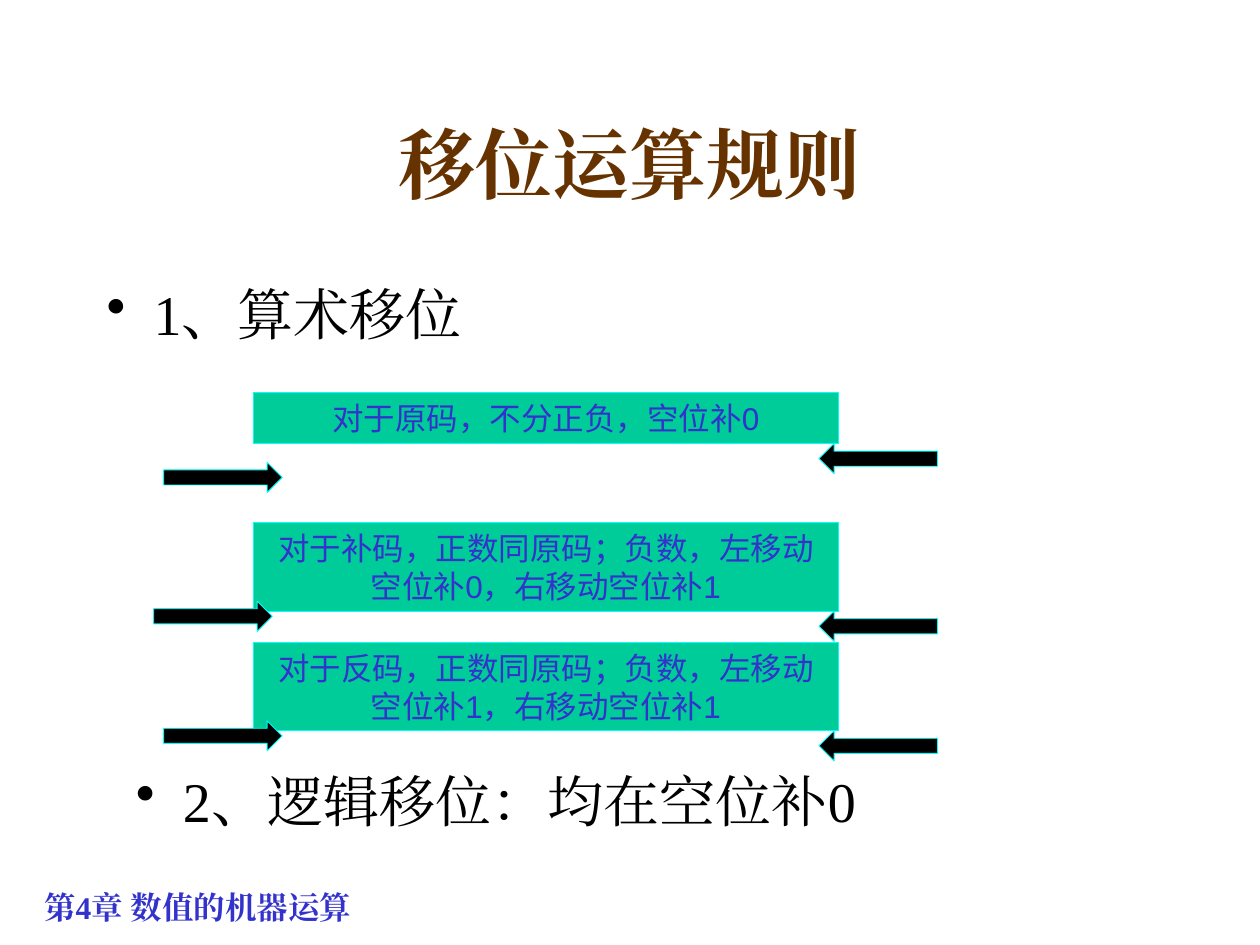
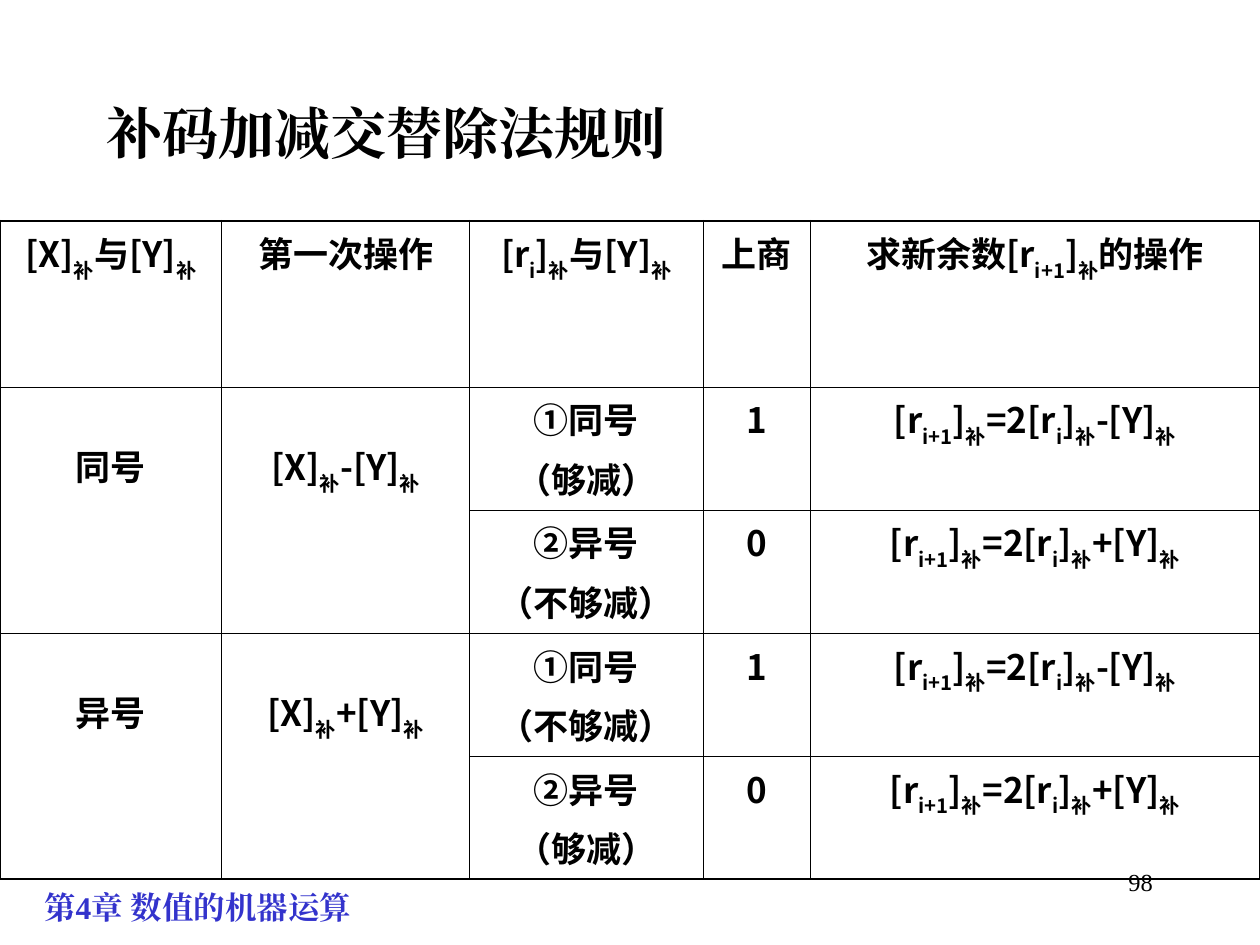
from lxml.etree import SubElement
from pptx import Presentation
from pptx.dml.color import RGBColor
from pptx.enum.shapes import MSO_SHAPE
from pptx.enum.text import MSO_ANCHOR, PP_ALIGN
from pptx.oxml.ns import qn
from pptx.util import Cm, Pt

BLACK, BLUE, BROWN = "000000", "3333CC", "663300"
GREEN, CYAN = "00CC99", "00FFFF"
SERIF, SANS, HAN = "Times New Roman", "Arial", "Noto Sans CJK SC"
LEFT, MID, RIGHT = PP_ALIGN.LEFT, PP_ALIGN.CENTER, PP_ALIGN.RIGHT


def tint(code):
    """Turn a hex string into a colour."""
    return RGBColor.from_string(code)


class Deck:
    """Hold the shared style and the current slide."""

    def __init__(self):
        """Start an empty deck."""
        self.file = Presentation()
        self.file.slide_width, self.file.slide_height = Cm(25.4), Cm(19.05)
        self.slide = None

    def page(self):
        """Add a slide with the chapter footer."""
        self.slide = self.file.slides.add_slide(self.file.slide_layouts[6])
        self.text("第4章 数值的机器运算", 0.64, 17.78, 14.81, 0.64, 18, BLUE, bold=True)

    def runs(self, para, text, size, color=BLACK, font=SERIF, bold=False, align=LEFT):
        """Add runs to a paragraph, with every second part between bars lowered."""
        para.alignment = align
        for i, part in enumerate(text.split("|")):
            if not part:
                continue
            run = para.add_run()
            run.text = part
            run.font.size, run.font.bold, run.font.name = Pt(size), bold, font
            run.font.color.rgb = tint(color)
            props = run._r.get_or_add_rPr()
            SubElement(props, qn("a:ea"), typeface=font)
            if i % 2:
                props.set("baseline", "-30000")

    def text(self, text, x, y, wide, high, size, color=BLACK, bold=False, align=LEFT,
             anchor=MSO_ANCHOR.TOP):
        """Add a text box and return its paragraph."""
        frame = self.slide.shapes.add_textbox(Cm(x), Cm(y), Cm(wide), Cm(high)).text_frame
        frame.word_wrap = True
        frame.vertical_anchor = anchor
        self.runs(frame.paragraphs[0], text, size, color, bold=bold, align=align)
        return frame.paragraphs[0]

    def title(self, text, y, size, color, align):
        """Add the slide heading."""
        self.text(text, 1.9, y, 21.6, 3.18, size, color, True, align, MSO_ANCHOR.MIDDLE)

    def point(self, text, x, y):
        """Add a bulleted line."""
        props = self.text(text, x, y, 21.6, 1.85, 32)._p.get_or_add_pPr()
        props.set("marL", str(Cm(0.95)))
        props.set("indent", str(Cm(-0.95)))
        SubElement(props, qn("a:buChar"), char="•")

    def shape(self, kind, x, y, wide, high, fill):
        """Add a filled shape with a thin cyan edge."""
        form = self.slide.shapes.add_shape(kind, Cm(x), Cm(y), Cm(wide), Cm(high))
        form.shadow.inherit = False
        form.fill.solid()
        form.fill.fore_color.rgb = tint(fill)
        form.line.color.rgb = tint(CYAN)
        form.line.width = Pt(0.5)
        return form

    def box(self, text, y, high):
        """Add a green rule box."""
        frame = self.shape(MSO_SHAPE.RECTANGLE, 5.11, y, 11.79, high, GREEN).text_frame
        frame.word_wrap = True
        frame.vertical_anchor = MSO_ANCHOR.MIDDLE
        self.runs(frame.paragraphs[0], text, 18, BLUE, SANS, align=MID)

    def arrow(self, x, y, turn=0):
        """Add a block arrow."""
        self.shape(MSO_SHAPE.RIGHT_ARROW, x, y, 2.39, 0.61, BLACK).rotation = turn

    def edge(self, cell, outer):
        """Draw cell borders, thicker on the outer sides."""
        props = cell._tc.get_or_add_tcPr()
        for side, thick in zip("LRTB", outer):
            line = SubElement(props, qn(f"a:ln{side}"), w=str(Pt(1.08 if thick else 0.45)))
            SubElement(SubElement(line, qn("a:solidFill")), qn("a:srgbClr"), val=BLACK)
        cell.fill.background()

    def grid(self, rows, y, cols, highs):
        """Add a ruled table, joining each None cell to the one above."""
        count, last = len(rows), len(cols) - 1
        table = self.slide.shapes.add_table(
            count, len(cols), Cm(0), Cm(y), Cm(sum(cols)), Cm(sum(highs))).table
        table.first_row = table.horz_banding = False
        for col, wide in zip(table.columns, cols):
            col.width = Cm(wide)
        for row, high in zip(table.rows, highs):
            row.height = Cm(high)
        for r, row in enumerate(rows):
            for c, text in enumerate(row):
                if text is None:
                    table.cell(r - 1, c).merge(table.cell(r, c))
        for r, row in enumerate(rows):
            for c, text in enumerate(row):
                cell = table.cell(r, c)
                self.edge(cell, (c == 0, c == last, r == 0, r + cell.span_height == count))
                if cell.is_merge_origin:
                    cell.margin_top = Cm(1.07)
                for i, line in enumerate((text or "").split("\n")):
                    para = cell.text_frame.add_paragraph() if i else cell.text_frame.paragraphs[0]
                    if i:
                        para.space_before = Pt(5)
                    self.runs(para, line, 20, font=HAN, bold=True, align=MID)


def shift(deck):
    """Build the shift rules slide."""
    deck.page()
    deck.title("移位运算规则", 1.7, 44, BROWN, MID)
    deck.point("1、算术移位", 1.9, 5.51)
    rules = [
        ("对于原码，不分正负，空位补0", 7.92, 1.02, 3.3, 9.32),
        ("对于补码，正数同原码；负数，左移动空位补0，右移动空位补1", 10.54, 1.78, 3.1, 12.12),
        ("对于反码，正数同原码；负数，左移动空位补1，右移动空位补1", 12.95, 1.78, 3.3, 14.53),
    ]
    for text, top, high, x, y in rules:
        deck.box(text, top, high)
        deck.arrow(x, y)
        deck.arrow(16.51, top + high, 180)
    deck.point("2、逻辑移位：均在空位补0", 2.49, 15.32)


def divide(deck):
    """Build the division rules slide."""
    deck.page()
    deck.text("98", 18.21, 17.35, 5.28, 1.27, 14, align=RIGHT)
    deck.title("补码加减交替除法规则", 1.07, 32, BLACK, LEFT)
    less, more = (f"[r|i+1|]|补|=2[r|i|]|补|{sign}[Y]|补" for sign in "-+")
    rows = [
        ("[X]|补|与[Y]|补", "第一次操作", "[r|i|]|补|与[Y]|补", "上商", "求新余数[r|i+1|]|补|的操作"),
        ("同号", "[X]|补|-[Y]|补", "①同号\n（够减）", "1", less),
        (None, None, "②异号\n（不够减）", "0", more),
        ("异号", "[X]|补|+[Y]|补", "①同号\n（不够减）", "1", less),
        (None, None, "②异号\n（够减）", "0", more),
    ]
    deck.grid(rows, 4.45, (4.47, 5, 4.7, 2.16, 9.07), [3.35] + [2.48] * 4)


def main():
    """Build and save the deck."""
    deck = Deck()
    shift(deck)
    divide(deck)
    deck.file.save("out.pptx")


if __name__ == "__main__":
    main()
